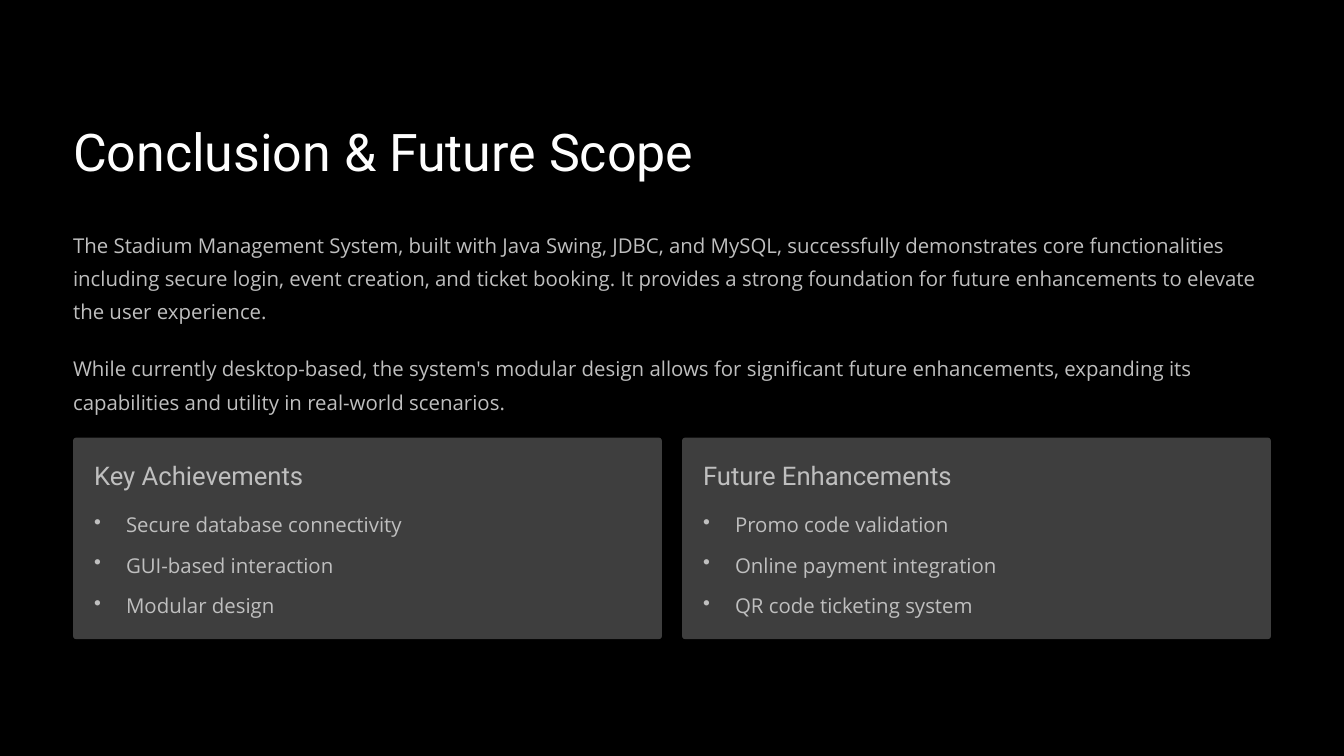
from lxml.etree import SubElement
from pptx import Presentation
from pptx.dml.color import RGBColor
from pptx.enum.shapes import MSO_SHAPE as Preset
from pptx.enum.text import MSO_ANCHOR as Anchor, MSO_AUTO_SIZE as AutoSize, PP_ALIGN as Align
from pptx.oxml.ns import qn
from pptx.util import Inches, Pt

BLACK, WHITE, GREY, CARD = "000000", "FEFEFE", "BFBFBF", "3E3E3E"
TITLE = {"size": 44.5, "name": "Roboto", "color": WHITE, "leading": 55.5}
HEADING = {"size": 22, "name": "Roboto", "color": GREY, "leading": 27.5}
BODY = {"size": 17.5, "name": "Open Sans", "color": GREY, "leading": 28.5}
LEFT, WIDTH, GAP = 0.87, 14.26, 0.24
CARD_TOP, CARD_HEIGHT, PADDING = 5.21, 2.4, 0.25
BULLET_INDENT, BULLET_GAP = 0.38, 6.4

INTRO = [
    (2.67, 1.19, "The Stadium Management System, built with Java Swing, JDBC, and MySQL, "
     "successfully demonstrates core functionalities including secure login, event creation, "
     "and ticket booking. It provides a strong foundation for future enhancements to elevate "
     "the user experience."),
    (4.14, 0.79, "While currently desktop-based, the system's modular design allows for "
     "significant future enhancements, expanding its capabilities and utility in real-world "
     "scenarios."),
]
CARDS = [
    ("Key Achievements",
     ["Secure database connectivity", "GUI-based interaction", "Modular design"]),
    ("Future Enhancements",
     ["Promo code validation", "Online payment integration", "QR code ticketing system"]),
]


def paint(color_format, color):
    """Set a colour from a hex string."""
    color_format.rgb = RGBColor.from_string(color)


def add_bullet(paragraph):
    """Give a paragraph a hanging round bullet."""
    properties = paragraph._p.get_or_add_pPr()
    properties.set("marL", str(Inches(BULLET_INDENT)))
    properties.set("indent", str(-Inches(BULLET_INDENT)))
    SubElement(properties, qn("a:buChar"), char="•")


def write(frame, lines, style, bulleted=False):
    """Fill a text frame with one paragraph per line."""
    settings = {"margin_left": 0, "margin_top": 0, "margin_right": 0, "margin_bottom": 0,
                "word_wrap": True, "auto_size": AutoSize.NONE, "vertical_anchor": Anchor.TOP}
    for key, value in settings.items():
        setattr(frame, key, value)
    for index, line in enumerate(lines):
        paragraph = frame.add_paragraph() if index else frame.paragraphs[0]
        if bulleted:
            add_bullet(paragraph)
        paragraph.text = line
        paragraph.alignment = Align.LEFT
        paragraph.line_spacing = Pt(style["leading"])
        paragraph.space_before = Pt(BULLET_GAP if index else 0)
        for key, value in {"name": style["name"], "size": Pt(style["size"])}.items():
            setattr(paragraph.font, key, value)
        paint(paragraph.font.color, style["color"])


def add_text(slide, box, lines, style, bulleted=False):
    """Add a text box in the given left, top, width and height."""
    area = slide.shapes.add_textbox(*map(Inches, box))
    write(area.text_frame, lines, style, bulleted)


def place_title(slide, box, wording):
    """Move and format the title placeholder."""
    title = slide.shapes.title
    title.left, title.top, title.width, title.height = map(Inches, box)
    write(title.text_frame, [wording], TITLE)


def add_card(slide, box, heading, points):
    """Add a rounded card with a heading and a bulleted list."""
    left, top, width, height = box
    card = slide.shapes.add_shape(Preset.ROUNDED_RECTANGLE, *map(Inches, box))
    card.adjustments[0] = 0.016
    card.shadow.inherit = False
    card.fill.solid()
    paint(card.fill.fore_color, CARD)
    card.line.fill.background()
    inner_left, inner_width = left + PADDING, width - 2 * PADDING
    add_text(slide, (inner_left, top + PADDING, inner_width, 0.39), [heading], HEADING)
    add_text(slide, (inner_left, top + 0.78, inner_width, 1.37), points, BODY, bulleted=True)


def build_conclusion(deck):
    """Build the conclusion slide."""
    slide = deck.slides.add_slide(deck.slide_layouts[5])
    slide.background.fill.solid()
    paint(slide.background.fill.fore_color, BLACK)
    place_title(slide, (LEFT, 1.39, 7.82, 0.78), "Conclusion & Future Scope")
    for top, height, wording in INTRO:
        add_text(slide, (LEFT, top, WIDTH, height), [wording], BODY)
    card_width = (WIDTH - GAP) / len(CARDS)
    for column, (heading, points) in enumerate(CARDS):
        card_left = LEFT + column * (card_width + GAP)
        add_card(slide, (card_left, CARD_TOP, card_width, CARD_HEIGHT), heading, points)


def main():
    """Create and save the presentation."""
    deck = Presentation()
    deck.slide_width, deck.slide_height = Inches(16), Inches(9)
    build_conclusion(deck)
    deck.save("out.pptx")


if __name__ == "__main__":
    main()
